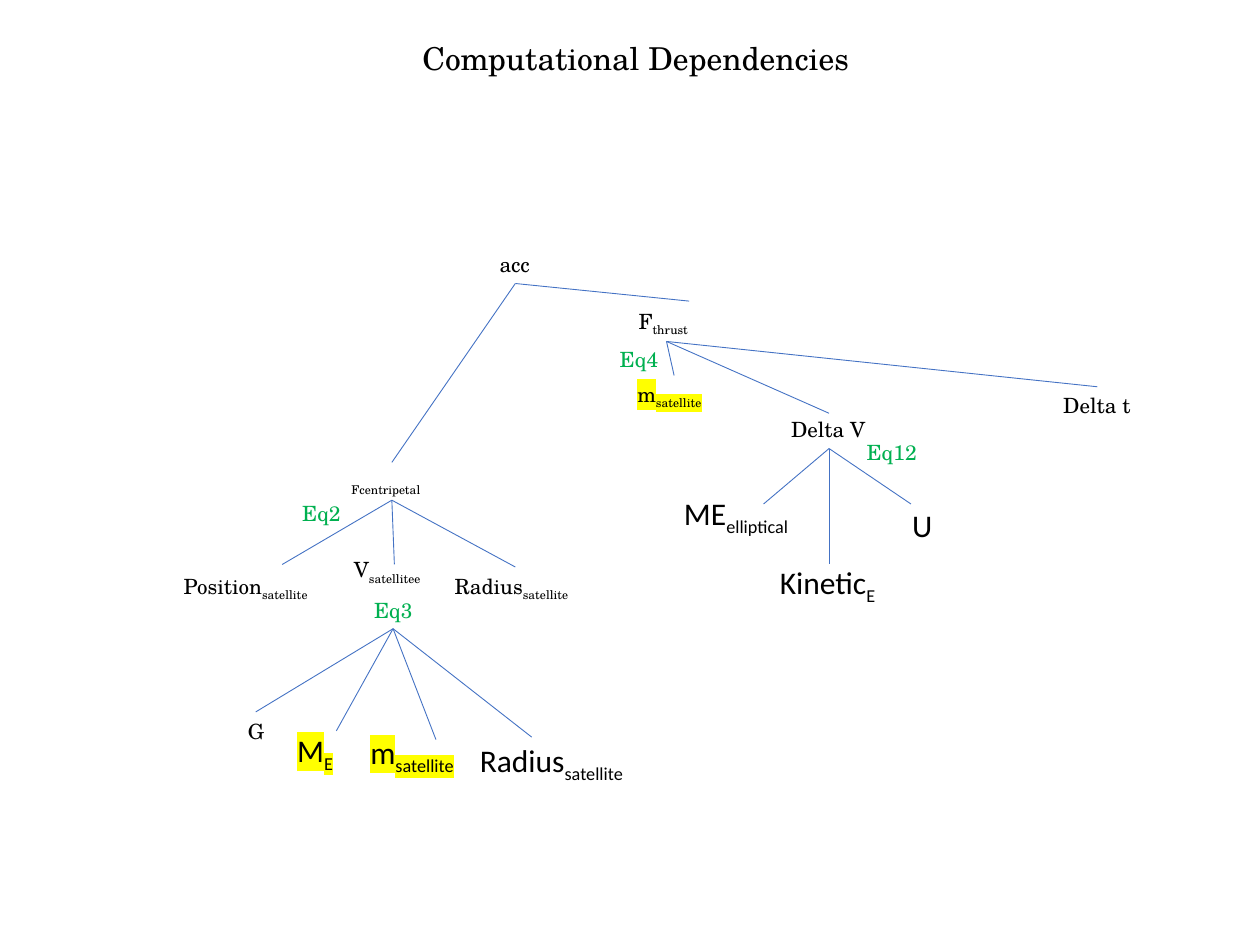
from dataclasses import dataclass

import pptx
import pptx.dml.color
import pptx.enum.shapes
import pptx.enum.text
import pptx.oxml
import pptx.oxml.ns
import pptx.util

COLORS = {"text": "000000", "eq": "00B050", "line": "4472C4", "mark": "FFFF00"}
SERIF, SANS = "TeX Gyre Schola", "Calibri"
COLS, ROWS = 100, 75

deck = pptx.Presentation()
deck.slide_width = pptx.util.Inches(10)
deck.slide_height = pptx.util.Inches(7.5)
slide = deck.slides.add_slide(deck.slide_layouts[6])


@dataclass
class Label:
    """Text with an optional subscript, placed in grid columns and rows."""
    left: float
    top: float
    width: float
    base: str
    sub: str = ""
    font: str = SERIF
    size: int = 12
    color: str = "text"
    mark: bool = False
    wrap: bool = False
    center: bool = False


@dataclass
class Fan:
    """Lines from one root to its tips."""
    root: tuple[float, float]
    tips: list[tuple[float, float]]


def across(cols: float) -> int:
    return round(deck.slide_width * cols / COLS)


def down(rows: float) -> int:
    return round(deck.slide_height * rows / ROWS)


def rgb(name: str) -> pptx.dml.color.RGBColor:
    return pptx.dml.color.RGBColor.from_string(COLORS[name])


def shade(run) -> None:
    """Highlight a run; the element belongs right after the text fill."""
    mark = pptx.oxml.parse_xml(
        f'<a:highlight {pptx.oxml.ns.nsdecls("a")}>'
        f'<a:srgbClr val="{COLORS["mark"]}"/></a:highlight>')
    props = run.font._element
    props.find(pptx.oxml.ns.qn("a:solidFill")).addnext(mark)


def write(item: Label) -> None:
    high = 4 if item.size == 18 else 3
    box = slide.shapes.add_textbox(across(item.left), down(item.top),
                                   across(item.width), down(high))
    frame = box.text_frame
    frame.word_wrap = item.wrap
    frame.auto_size = pptx.enum.text.MSO_AUTO_SIZE.SHAPE_TO_FIT_TEXT
    para = frame.paragraphs[0]
    if item.center:
        para.alignment = pptx.enum.text.PP_ALIGN.CENTER
    for text, shift in ((item.base, 0), (item.sub, -25000)):
        if not text:
            continue
        run = para.add_run()
        run.text = text
        run.font.name = item.font
        run.font.size = pptx.util.Pt(item.size)
        run.font.color.rgb = rgb(item.color)
        if shift:
            run.font._element.set("baseline", str(shift))
        if item.mark:
            shade(run)


def link(fan: Fan) -> None:
    x, y = fan.root
    for col, row in fan.tips:
        line = slide.shapes.add_connector(
            pptx.enum.shapes.MSO_CONNECTOR.STRAIGHT,
            across(x), down(y), across(col), down(row))
        line.line.color.rgb = rgb("line")
        line.line.width = pptx.util.Pt(0.5)
        line._element.spPr.append(pptx.oxml.parse_xml(
            f'<a:effectLst {pptx.oxml.ns.nsdecls("a")}/>'))


FANS = [
    Fan((40.9, 22.5), [(31.1, 36.7), (54.7, 23.9)]),
    Fan((52.9, 27.1), [(53.5, 29.8), (65.8, 32.8), (87.1, 30.7)]),
    Fan((31.1, 39.7), [(22.4, 44.8), (31.3, 44.8), (40.9, 45)]),
    Fan((65.8, 35.6), [(60.6, 40), (65.8, 44.8), (72.3, 40)]),
    Fan((31.2, 49.9), [(20.3, 56.5), (26.7, 58), (34.6, 58.7), (42.2, 58.5)]),
]

LABELS = [
    Label(0.9, 2.6, 99.1, "Computational Dependencies", size=18,
          wrap=True, center=True),
    # Acceleration and thrust
    Label(38.6, 19.5, 4.5, "acc", center=True),
    Label(49.7, 24, 6.4, "F", "thrust"),
    Label(49.6, 29.8, 7.7, "m", "satellite", mark=True),
    Label(61.8, 32.6, 8, "Delta V"),
    Label(83.4, 30.7, 7.4, "Delta t"),
    # Centripetal force
    Label(26.9, 36.7, 8.4, "", "Fcentripetal"),
    Label(13.6, 45, 13.3, "Position", "satellite", wrap=True),
    Label(27.1, 43.7, 8, "V", "satellitee"),
    Label(35.1, 45, 11.7, "Radius", "satellite"),
    # Satellite speed
    Label(18.7, 56.5, 3.3, "G", wrap=True),
    Label(22.6, 57.5, 8, "M", "E", SANS, 18, mark=True, wrap=True),
    Label(28.4, 57.7, 10.1, "m", "satellite", SANS, 18, mark=True, wrap=True),
    Label(37.1, 58.3, 17.6, "Radius", "satellite", SANS, 18, wrap=True),
    # Energies
    Label(53.3, 38.7, 11.1, "ME", "elliptical", SANS, 18),
    Label(60.9, 44.2, 9.8, "Kinetic", "E", SANS, 18),
    Label(71.4, 39.7, 3.6, "U", "", SANS, 18),
    # Equation tags
    Label(23, 39.2, 5.1, "Eq2", color="eq"),
    Label(28.7, 46.9, 5.1, "Eq3", color="eq"),
    Label(48.2, 27, 5.1, "Eq4", color="eq"),
    Label(67.8, 34.4, 6, "Eq12", color="eq"),
]

for fan in FANS:
    link(fan)
for item in LABELS:
    write(item)

deck.save("out.pptx")
